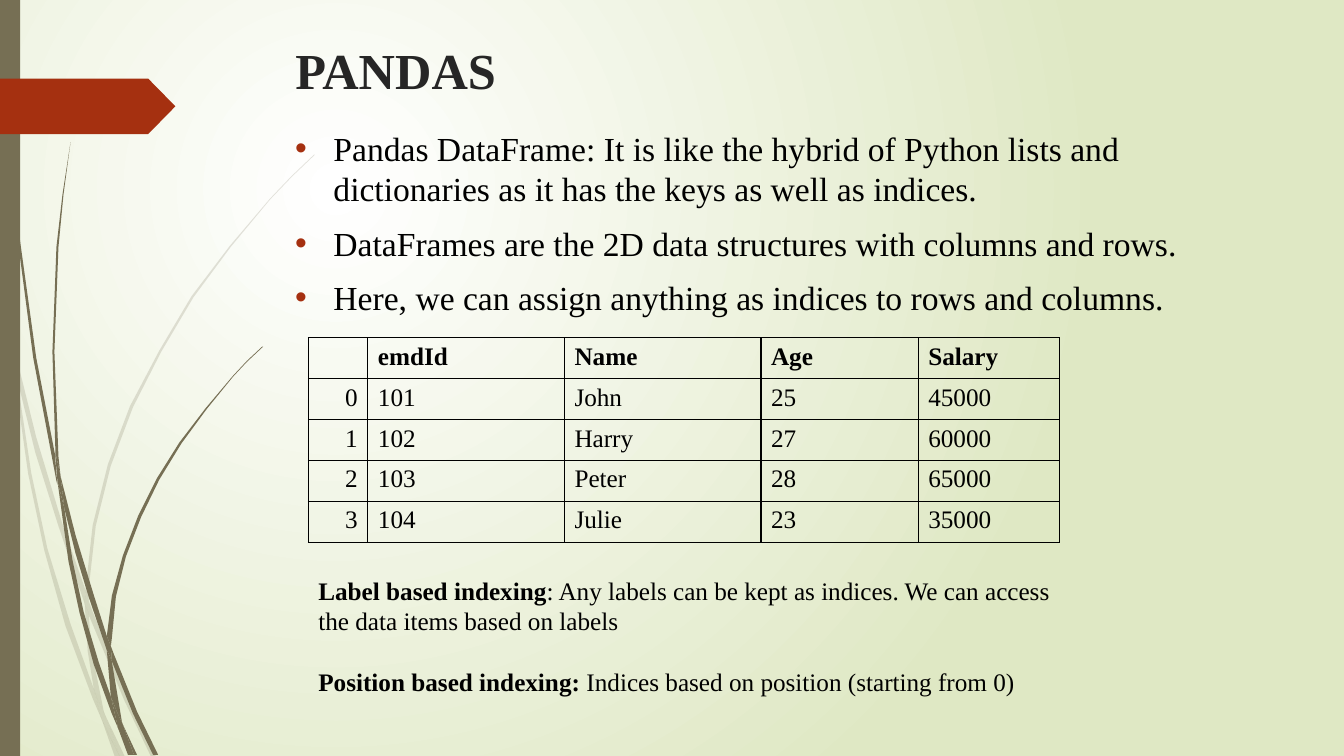
from lxml import etree
from pptx import Presentation
from pptx.dml.color import RGBColor
from pptx.enum.shapes import MSO_SHAPE
from pptx.enum.text import MSO_ANCHOR, PP_ALIGN
from pptx.oxml.ns import qn
from pptx.util import Pt

RECT, ARROW = MSO_SHAPE.RECTANGLE, MSO_SHAPE.PENTAGON
TOP, LEFT, RIGHT = MSO_ANCHOR.TOP, PP_ALIGN.LEFT, PP_ALIGN.RIGHT
PX = 9144  # 100 px to the inch
W, H = 1333.33, 750
FONT = "Times New Roman"
C = {"white": "FFFFFF", "green": "DFE8C4", "olive": "766F54", "red": "A53010",
     "title": "262626", "text": "000000"}

TITLE = "PANDAS"
BULLETS = [
    "Pandas DataFrame: It is like the hybrid of Python lists and dictionaries "
    "as it has the keys as well as indices.",
    "DataFrames are the 2D data structures with columns and rows.",
    "Here, we can assign anything as indices to rows and columns.",
]
ROWS = [
    ("", "emdId", "Name", "Age", "Salary"),
    ("0", "101", "John", "25", "45000"),
    ("1", "102", "Harry", "27", "60000"),
    ("2", "103", "Peter", "28", "65000"),
    ("3", "104", "Julie", "23", "35000"),
]
COL_WIDTHS, TABLE_HEIGHT = [59, 195, 195, 156, 140], 203
NOTES = [
    ("Label based indexing",
     ": Any labels can be kept as indices. We can access the data items based on labels"),
    ("Position based indexing: ", "Indices based on position (starting from 0)"),
]
# Corner points of each part of the grass blades
FAINT_GRASS = [
    [(11, 350), (9, 322), (0, 282), (0, 299), (10, 344)],
    [(58, 522), (84, 599), (85, 586), (62, 520), (36, 434), (14, 345), (17, 376),
     (35, 449)],
    [(92, 607), (88, 596), (88, 610), (123, 694), (150, 751), (155, 751), (127, 692)],
    [(119, 751), (124, 751), (105, 711)],
    [(93, 683), (70, 619), (47, 544), (31, 469), (17, 376), (11, 350), (28, 470),
     (44, 546), (65, 621), (92, 693), (101, 714), (99, 707)],
    [(84, 599), (87, 646), (93, 683), (96, 692), (105, 711), (103, 706), (91, 646),
     (88, 610), (88, 608)],
    [(88, 584), (95, 522), (110, 462), (132, 404), (160, 349), (192, 295), (229, 245),
     (268, 198), (290, 175), (312, 154), (312, 153), (289, 175), (268, 197),
     (228, 244), (190, 294), (158, 348), (129, 403), (107, 461), (92, 521), (85, 584),
     (85, 586), (88, 596)],
    [(101, 714), (114, 751), (119, 751)],
    [(88, 608), (88, 610), (88, 596), (85, 586), (84, 599)],
    [(96, 692), (93, 683), (99, 707), (101, 714), (119, 751), (105, 711)],
]
SOLID_GRASS = [
    [(7, 110), (17, 233), (33, 355), (56, 477), (57, 481), (55, 457), (55, 453),
     (36, 355), (19, 232), (8, 109), (5, 48), (4, 0), (3, 0), (4, 48)],
    [(88, 592), (106, 645), (106, 633), (106, 631), (93, 590), (75, 531), (60, 472),
     (64, 505), (75, 549)],
    [(113, 649), (110, 641), (111, 656), (132, 708), (152, 749), (157, 749),
     (136, 706)],
    [(110, 691), (98, 657), (83, 607), (72, 556), (64, 505), (57, 477), (68, 557),
     (79, 608), (93, 659), (111, 708), (117, 722), (116, 717)],
    [(60, 472), (58, 453), (54, 349), (58, 245), (63, 193), (70, 141), (62, 193),
     (56, 245), (52, 349), (55, 449)],
    [(133, 749), (136, 749), (122, 719)],
    [(57, 477), (64, 505), (60, 472), (55, 449), (55, 453)],
    [(111, 633), (115, 592), (125, 552), (140, 513), (158, 476), (180, 440),
     (205, 406), (231, 374), (245, 359), (261, 344), (260, 344), (245, 358),
     (231, 373), (204, 405), (178, 439), (156, 474), (137, 512), (122, 551),
     (111, 591), (106, 631), (110, 641)],
    [(117, 722), (127, 749), (131, 749)],
    [(106, 645), (110, 691), (116, 706), (122, 719), (121, 716), (111, 656),
     (109, 651)],
    [(106, 645), (109, 651), (111, 656), (110, 641), (106, 631), (106, 633)],
    [(116, 706), (110, 691), (116, 717), (117, 722), (130, 749), (133, 749),
     (122, 719)],
]


def emu(*lengths):
    return [round(v * PX) for v in lengths]


def rgb(name):
    return RGBColor.from_string(C[name])


def sub(parent, tag, **attrs):
    return etree.SubElement(parent, qn(tag), attrs)


def style(r, size, color="text", bold=False):
    r.font.name, r.font.size, r.font.bold = FONT, Pt(size), bold
    r.font.color.rgb = rgb(color)


def paint(sp, color):
    sp.fill.solid()
    sp.fill.fore_color.rgb = rgb(color)
    sp.line.fill.background()
    sp.shadow.inherit = False


def add_grass(s, parts, faint):
    for points in parts:
        builder = s.shapes.build_freeform(*points[0], scale=PX)
        builder.add_line_segments(points[1:], close=True)
        sp = builder.convert_to_shape()
        paint(sp, "olive")
        if faint:
            sub(sp.element.spPr.find(".//" + qn("a:srgbClr")), "a:alpha", val="20000")


def add_background(s):
    fill = s.background.fill
    fill.gradient()
    for stop, color in zip(fill.gradient_stops, ("white", "green")):
        stop.color.rgb = rgb(color)
    grad = s.element.find(".//" + qn("a:gradFill"))
    grad.remove(grad.find(qn("a:lin")))
    circle = sub(grad, "a:path", **{"path": "circle"})
    sub(circle, "a:fillToRect", l="50000", t="50000", r="100000", b="100000")


def add_decoration(s):
    add_grass(s, FAINT_GRASS, True)
    add_grass(s, SOLID_GRASS, False)
    paint(s.shapes.add_shape(RECT, *emu(0, 0, 20, H)), "olive")
    arrow = s.shapes.add_shape(ARROW, *emu(0, 78, 174, 55))
    arrow.adjustments[0] = 0.49
    paint(arrow, "red")


def add_title(s):
    title = s.shapes.title
    title.left, title.top, title.width, title.height = emu(283, 34, 975, 98)
    tf = title.text_frame
    tf.text, tf.vertical_anchor = TITLE, TOP
    p = tf.paragraphs[0]
    p.alignment = LEFT
    style(p.runs[0], 36, "title", True)


def add_text_box(s, *box):
    tf = s.shapes.add_textbox(*emu(*box)).text_frame
    tf.word_wrap = True
    return tf


def add_bullets(s):
    tf = add_text_box(s, 283, 122, 975, 213)
    tf.text = "\n".join(BULLETS)
    indent = 38 * PX
    for p in tf.paragraphs:
        p.space_before = Pt(10)
        style(p.runs[0], 24)
        pPr = p._p.get_or_add_pPr()
        pPr.set("marL", str(indent))
        pPr.set("indent", str(-indent))
        sub(sub(pPr, "a:buClr"), "a:srgbClr", val=C["red"])
        sub(pPr, "a:buFont", typeface="Arial")
        sub(pPr, "a:buChar", char="•")


def add_borders(cell):
    tcPr = cell._tc.get_or_add_tcPr()
    for edge in ("a:lnL", "a:lnR", "a:lnT", "a:lnB"):
        ln = sub(tcPr, edge, w="12700")
        sub(sub(ln, "a:solidFill"), "a:srgbClr", val=C["text"])


def add_data_table(s):
    box = emu(306, 335, sum(COL_WIDTHS), TABLE_HEIGHT)
    table = s.shapes.add_table(len(ROWS), len(COL_WIDTHS), *box).table
    table.first_row = table.horz_banding = False
    for col, width in zip(table.columns, emu(*COL_WIDTHS)):
        col.width = width
    for i, values in enumerate(ROWS):
        for j, value in enumerate(values):
            cell = table.cell(i, j)
            add_borders(cell)
            cell.fill.background()
            cell.text = value
            p = cell.text_frame.paragraphs[0]
            p.alignment = LEFT if j else RIGHT
            for r in p.runs:
                style(r, 18, bold=i == 0)


def add_notes(s):
    tf = add_text_box(s, 306, 566, 755, 131)
    for i, (label, meaning) in enumerate(NOTES):
        p = tf.add_paragraph() if i else tf.paragraphs[0]
        p.space_before = Pt(22 if i else 0)
        for text, bold in ((label, True), (meaning, False)):
            r = p.add_run()
            r.text = text
            style(r, 18, bold=bold)


def main():
    prs = Presentation()
    prs.slide_width, prs.slide_height = emu(W, H)
    s = prs.slides.add_slide(prs.slide_layouts[5])
    add_background(s)
    add_decoration(s)
    add_title(s)
    add_bullets(s)
    add_data_table(s)
    add_notes(s)
    prs.save("out.pptx")


if __name__ == "__main__":
    main()
